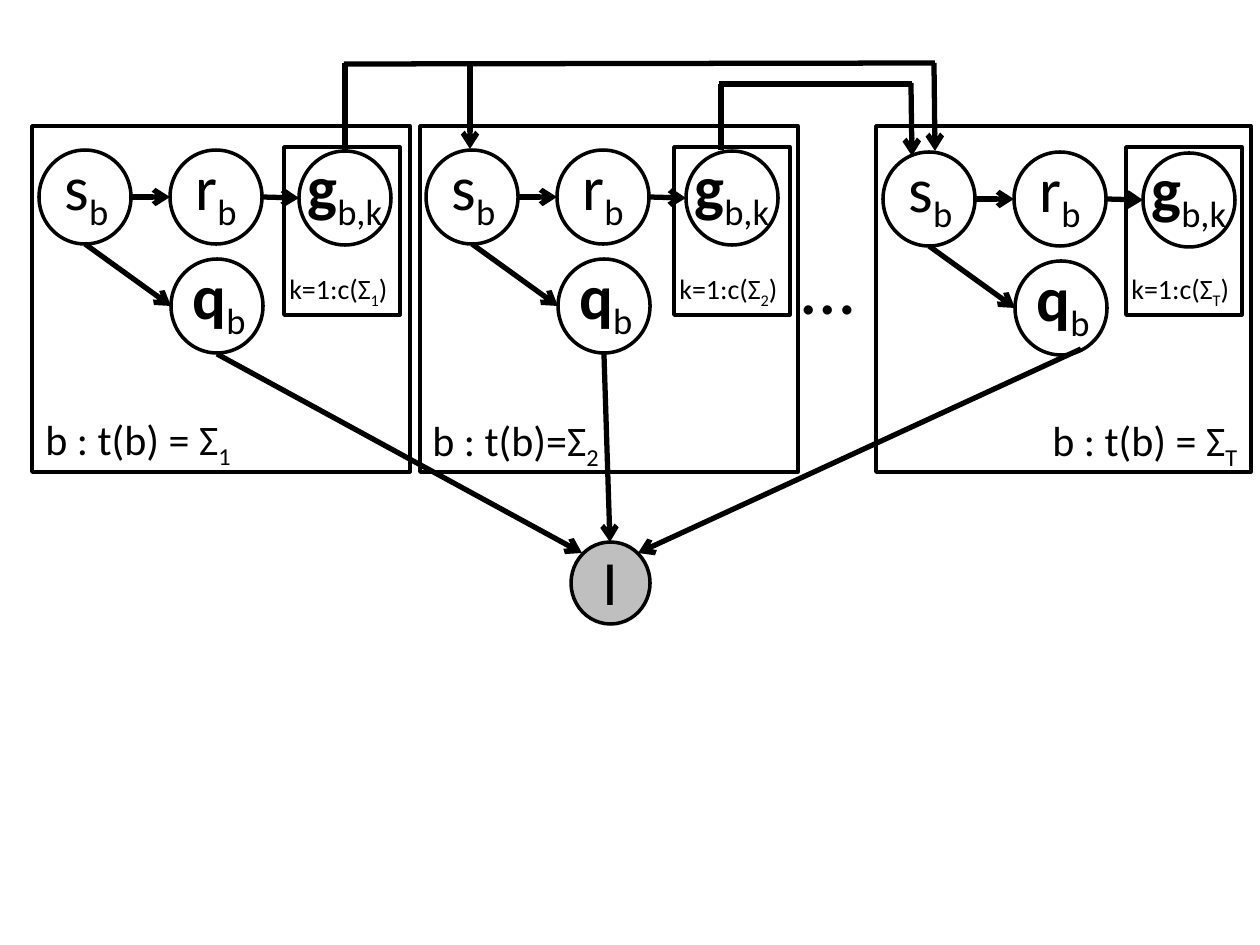
from lxml.etree import SubElement
from pptx import Presentation
from pptx.dml.color import RGBColor
from pptx.enum.shapes import MSO_CONNECTOR, MSO_SHAPE
from pptx.enum.text import MSO_AUTO_SIZE
from pptx.oxml.ns import qn
from pptx.util import Emu, Pt

PX = 914400 / 126


def px(length):
    return Emu(round(length * PX))


def color(code):
    return RGBColor.from_string(code)


class Diagram:
    font = "Calibri"
    ink = "000000"
    observed = "BFBFBF"
    outline = 2
    stroke = 3

    def __init__(self, slide):
        self.slide = slide

    def shape(self, kind, left, top, width, height, fill=None):
        shape = self.slide.shapes.add_shape(
            kind, px(left), px(top), px(width), px(height))
        shape.shadow.inherit = False
        if fill:
            shape.fill.solid()
            shape.fill.fore_color.rgb = color(fill)
        else:
            shape.fill.background()
        shape.line.color.rgb = color(self.ink)
        shape.line.width = Pt(self.outline)

    def plate(self, left, top, width, height):
        self.shape(MSO_SHAPE.RECTANGLE, left, top, width, height)

    def circle(self, left, top, width, height, fill=None):
        self.shape(MSO_SHAPE.OVAL, left, top, width, height, fill)

    def line(self, x1, y1, x2, y2, arrow=False):
        line = self.slide.shapes.add_connector(
            MSO_CONNECTOR.STRAIGHT, px(x1), px(y1), px(x2), px(y2))
        line.line.color.rgb = color(self.ink)
        line.line.width = Pt(self.stroke)
        if arrow:
            SubElement(line.line._get_or_add_ln(), qn("a:tailEnd"), type="arrow")
        SubElement(line._element.spPr, qn("a:effectLst"))

    def text(self, left, top, width, height, size, base, sub="", end="", bold=False):
        box = self.slide.shapes.add_textbox(px(left), px(top), px(width), px(height))
        frame = box.text_frame
        frame.word_wrap = True
        frame.auto_size = MSO_AUTO_SIZE.SHAPE_TO_FIT_TEXT
        para = frame.paragraphs[0]
        for part in (base, sub, end):
            if not part:
                continue
            span = para.add_run()
            span.text = part
            span.font.name = self.font
            span.font.size = Pt(size)
            span.font.color.rgb = color(self.ink)
            span.font.bold = bold and part is base
            if part is sub:
                span.font._element.set("baseline", "-25000")


# Variables: name, subscript, bold, offset from s, offset of the text
NODES = [
    ("s", "b", False, (0, 0), (13, -9)),
    ("r", "b", False, (131, 0), (13, -9)),
    ("g", "b,k", True, (260, 1), (-4, -10)),
    ("q", "b", True, (132, 109), (9, -9)),
]
# Arrows between variables, as offsets from s
LINKS = [(92, 47, 131, 47), (223, 47, 260, 48), (46, 94, 132, 156)]

# Plates: index, left, width, place of s, left of the inner plate, label
PLATES = [
    ("1", 32, 378, (39, 150), 284, (33, 407, 284), "b : t(b) = Σ"),
    ("2", 420, 378, (426, 150), 674, (420, 408, 252), "b : t(b)=Σ"),
    ("T", 876, 375, (883, 152), 1126, (1040, 408, 220), "b : t(b) = Σ"),
]

# Lines between plates, with True where there is an arrowhead
ROUTES = [
    (345, 150, 345, 63, False), (935, 63, 344, 64, False),
    (470, 63, 470, 149, True), (934, 63, 935, 151, True),
    (721, 150, 721, 84, False), (719, 84, 912, 84, False),
    (911, 83, 912, 156, True),
    (217, 354, 582, 553, True), (604, 354, 610, 542, True),
    (1081, 349, 638, 553, True),
]


def main():
    deck = Presentation()
    deck.slide_width, deck.slide_height = px(1260), px(945)
    page = Diagram(deck.slides.add_slide(deck.slide_layouts[6]))

    # Plates with their variables
    for index, left, width, (x, y), inner, (label_x, label_y, label_w), label in PLATES:
        page.plate(left, 126, width, 346)
        page.plate(inner, 147, 116, 168)
        for x1, y1, x2, y2 in LINKS:
            page.line(x + x1, y + y1, x + x2, y + y2, arrow=True)
        for name, sub, bold, (dx, dy), (text_x, text_y) in NODES:
            page.text(x + dx + text_x, y + dy + text_y, 107, 100, 36, name, sub, bold=bold)
            page.circle(x + dx, y + dy, 92, 94)
        page.text(inner - 7, 265, 126, 52, 16, "k=1:c(Σ", index, ")")
        page.text(label_x, label_y, label_w, 70, 24, label, index)

    # Omitted plates
    page.text(789, 231, 105, 106, 44, "…")

    # Observed image
    page.circle(571, 542, 79, 82, page.observed)
    page.text(590, 536, 107, 88, 36, "I")

    # Lines between plates
    for route in ROUTES:
        page.line(*route)

    deck.save("out.pptx")


if __name__ == "__main__":
    main()
